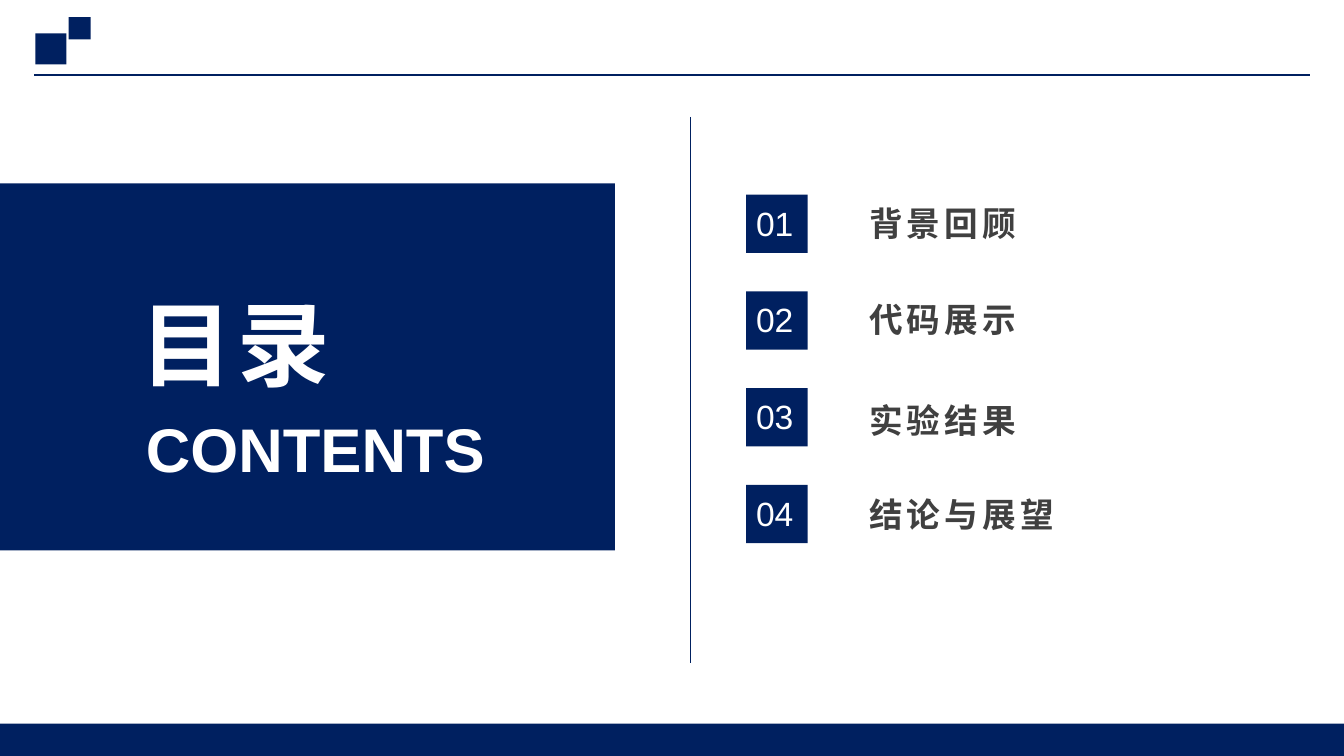
from pptx import Presentation
from pptx.dml.color import RGBColor
from pptx.enum.shapes import MSO_CONNECTOR, MSO_SHAPE
from pptx.enum.text import MSO_ANCHOR, PP_ALIGN
from pptx.oxml.ns import qn
from pptx.util import Inches, Pt
from lxml import etree

NAVY = RGBColor(0x00, 0x20, 0x60)
WHITE = RGBColor(0xFF, 0xFF, 0xFF)
GRAY = RGBColor(0x40, 0x40, 0x40)
LATIN, CHINESE = "Arial", "Noto Sans CJK SC"
RECTANGLE, STRAIGHT = MSO_SHAPE.RECTANGLE, MSO_CONNECTOR.STRAIGHT
MIDDLE, LEFT, CENTER = MSO_ANCHOR.MIDDLE, PP_ALIGN.LEFT, PP_ALIGN.CENTER
WIDTH, HEIGHT = 13.33, 7.5

# Chapter title and its vertical offset from the top of its number tile
CHAPTERS = [("背景回顾", 0.08), ("代码展示", 0.08), ("实验结果", 0.12), ("结论与展望", 0.09)]


def add_block(slide, left, top, width, height):
    block = slide.shapes.add_shape(
        RECTANGLE, Inches(left), Inches(top), Inches(width), Inches(height))
    block.shadow.inherit = False
    block.fill.solid()
    block.fill.fore_color.rgb = NAVY
    block.line.fill.background()


def add_rule(slide, x1, y1, x2, y2, weight):
    rule = slide.shapes.add_connector(
        STRAIGHT, Inches(x1), Inches(y1), Inches(x2), Inches(y2))
    rule.line.color.rgb = NAVY
    rule.line.width = Pt(weight)
    etree.SubElement(rule._element.spPr, qn("a:effectLst"))


def add_label(slide, box, text, size, color, font=LATIN, bold=False,
              tracking=0, inset=True, align=LEFT, line_spacing=None):
    """Place one line of text; tracking is in points."""
    label = slide.shapes.add_textbox(*map(Inches, box))
    frame = label.text_frame
    frame.word_wrap = True
    frame.vertical_anchor = MIDDLE
    if not inset:
        frame.margin_left = frame.margin_right = 0
        frame.margin_top = frame.margin_bottom = 0
    paragraph = frame.paragraphs[0]
    paragraph.alignment = align
    if line_spacing:
        paragraph.line_spacing = line_spacing
    run = paragraph.add_run()
    run.text = text
    run.font.size = Pt(size)
    run.font.bold = bold
    run.font.name = font
    run.font.color.rgb = color
    properties = run._r.get_or_add_rPr()
    if tracking:
        properties.set("spc", str(tracking * 100))
    etree.SubElement(properties, qn("a:ea")).set("typeface", CHINESE)


def add_page_frame(slide, width, height):
    """Header rule with its two squares, and the footer band."""
    margin = 0.34
    add_rule(slide, margin, 0.74, width - margin, 0.74, 1.5)
    add_block(slide, 0.35, 0.33, 0.31, 0.31)
    add_block(slide, 0.68, 0.17, 0.22, 0.22)
    add_block(slide, 0, height - 0.32, width, 0.32)


def add_title_panel(slide, left, top, width, height):
    add_block(slide, left, top, width, height)
    add_label(slide, (left + 0.84, top + 1.02, 2.99, 1.11), "目录", 66, WHITE,
              bold=True, tracking=3, inset=False, align=CENTER)
    add_label(slide, (left + 1.35, top + 2.09, 3.66, 0.91), "CONTENTS", 44, WHITE,
              bold=True, line_spacing=1.2)


def add_chapter_list(slide, left, top, pitch):
    for index, (title, offset) in enumerate(CHAPTERS):
        row = top + index * pitch
        add_block(slide, left, row, 0.61, 0.58)
        add_label(slide, (left, row + 0.03, 0.58, 0.5), f"{index + 1:02}", 24, WHITE)
        add_label(slide, (left + 1.22, row + offset, 2.8, 0.4), title, 24, GRAY,
                  font=CHINESE, bold=True, tracking=3, inset=False)


def main():
    deck = Presentation()
    deck.slide_width, deck.slide_height = Inches(WIDTH), Inches(HEIGHT)
    slide = deck.slides.add_slide(deck.slide_layouts[6])
    add_page_frame(slide, WIDTH, HEIGHT)
    add_title_panel(slide, 0, 1.82, 6.1, 3.64)
    add_rule(slide, 6.85, 1.16, 6.85, 6.58, 0.5)
    add_chapter_list(slide, 7.4, 1.93, 0.96)
    deck.save("out.pptx")


if __name__ == "__main__":
    main()
